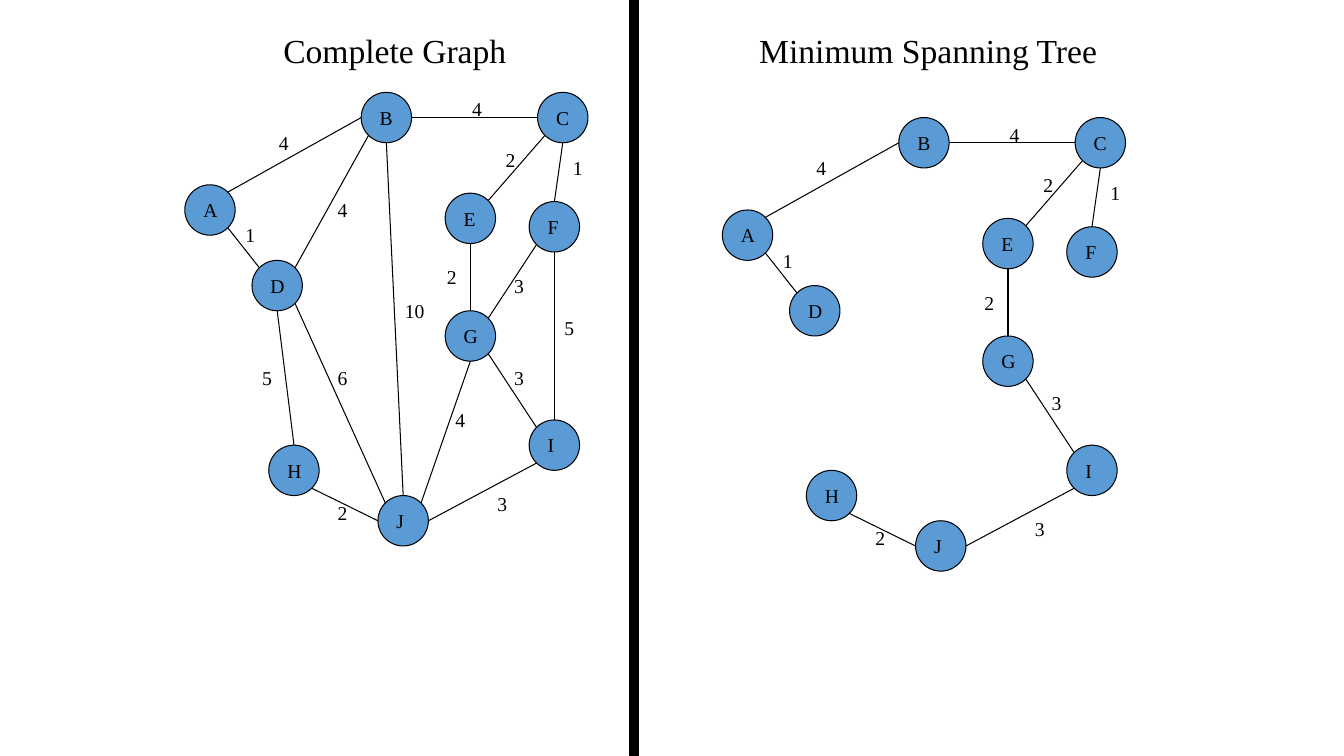
from lxml import etree
from pptx import Presentation
from pptx.dml.color import RGBColor
from pptx.enum.shapes import MSO_CONNECTOR, MSO_SHAPE
from pptx.enum.text import MSO_ANCHOR, MSO_AUTO_SIZE, PP_ALIGN
from pptx.oxml.ns import qn
from pptx.util import Pt

STRAIGHT = MSO_CONNECTOR.STRAIGHT
OVAL, RECTANGLE = MSO_SHAPE.OVAL, MSO_SHAPE.RECTANGLE
LEFT, CENTER = PP_ALIGN.LEFT, PP_ALIGN.CENTER
TOP, MIDDLE = MSO_ANCHOR.TOP, MSO_ANCHOR.MIDDLE
NO_FIT, GROW = MSO_AUTO_SIZE.NONE, MSO_AUTO_SIZE.SHAPE_TO_FIT_TEXT

BLACK = RGBColor(0x00, 0x00, 0x00)
BLUE = RGBColor(0x5B, 0x9B, 0xD5)

TITLE_ONLY = 5
DIAMETER = 36
RADIUS = DIAMETER / 2
DIAGONAL = 0.71

# Compass points on a node's rim, as multiples of the radius
RIM = {
    "N": (0, -1), "S": (0, 1), "W": (-1, 0), "E": (1, 0),
    "NW": (-DIAGONAL, -DIAGONAL), "NE": (DIAGONAL, -DIAGONAL),
    "SW": (-DIAGONAL, DIAGONAL), "SE": (DIAGONAL, DIAGONAL),
}

# Left and top of each node in the complete graph
NODES = {
    "A": (132, 132), "B": (258, 66), "C": (384, 66), "D": (180, 186),
    "E": (318, 138), "F": (378, 144), "G": (318, 222), "H": (192, 318),
    "I": (378, 300), "J": (270, 354),
}

# Ends, rim points of the ends, weight, left and top of the weight
EDGES = [
    ("AB", "NE", "W", 4, 192, 90),
    ("AD", "SE", "NW", 1, 168, 156),
    ("BC", "E", "W", 4, 330, 66),
    ("BD", "SW", "NE", 4, 234, 138),
    ("BJ", "S", "N", 10, 282, 210),
    ("CE", "SW", "NE", 2, 354, 102),
    ("CF", "S", "N", 1, 402, 108),
    ("DH", "S", "N", 5, 180, 258),
    ("DJ", "SE", "NW", 6, 234, 258),
    ("EG", "S", "N", 2, 312, 186),
    ("FG", "SW", "NE", 3, 360, 192),
    ("FI", "S", "N", 5, 396, 222),
    ("GI", "SE", "NW", 3, 360, 258),
    ("GJ", "S", "NE", 4, 318, 288),
    ("HJ", "SE", "W", 2, 234, 354),
    ("JI", "E", "SW", 3, 348, 348),
]
TREE = {"AB", "AD", "BC", "CE", "CF", "EG", "GI", "HJ", "JI"}
TREE_EDGES = [edge for edge in EDGES if edge[0] in TREE]
TREE_SHIFT = (384, 18)


class GraphSlide:
    font = "Times New Roman"
    label_size = 14
    heading_size = 24
    line_width = 0.75

    def __init__(self, slide):
        self.slide = slide
        self.shapes = slide.shapes

    def label(self, frame, text, size, align):
        paragraph = frame.paragraphs[0]
        paragraph.alignment = align
        run = paragraph.add_run()
        run.text = text
        run.font.name = self.font
        run.font.size = Pt(size)
        run.font.color.rgb = BLACK

    def outline(self, line):
        line.color.rgb = BLACK
        line.width = Pt(self.line_width)

    def figure(self, preset, left, top, width, height, fill):
        shape = self.shapes.add_shape(preset, Pt(left), Pt(top), Pt(width), Pt(height))
        shape.shadow.inherit = False
        shape.fill.solid()
        shape.fill.fore_color.rgb = fill
        self.outline(shape.line)
        return shape

    def heading(self, box, text, left, width):
        box.left, box.top, box.width, box.height = Pt(left), Pt(18), Pt(width), Pt(36)
        frame = box.text_frame
        frame.word_wrap = True
        frame.auto_size = NO_FIT
        frame.vertical_anchor = TOP
        self.label(frame, text, self.heading_size, CENTER)

    def node(self, letter, left, top):
        frame = self.figure(OVAL, left, top, DIAMETER, DIAMETER, BLUE).text_frame
        frame.margin_left = Pt(8)
        frame.margin_right = frame.margin_top = frame.margin_bottom = 0
        frame.vertical_anchor = MIDDLE
        self.label(frame, letter, self.label_size, LEFT)

    def edge(self, start, end):
        line = self.shapes.add_connector(STRAIGHT, *map(Pt, start + end))
        self.outline(line.line)
        etree.SubElement(line.element.spPr, qn("a:effectLst"))

    def weight(self, value, left, top):
        text = str(value)
        box = self.shapes.add_textbox(Pt(left), Pt(top), Pt(14.4 + 7 * len(text)), Pt(24.5))
        frame = box.text_frame
        frame.word_wrap = False
        frame.auto_size = GROW
        self.label(frame, text, self.label_size, CENTER)

    def graph(self, edges, shift=(0, 0)):
        """Draw every node, the given edges and their weights, moved by shift."""
        dx, dy = shift

        def rim_point(letter, side):
            (left, top), (x, y) = NODES[letter], RIM[side]
            return (left + dx + RADIUS * (1 + x), top + dy + RADIUS * (1 + y))

        for letter, (left, top) in NODES.items():
            self.node(letter, left + dx, top + dy)
        for (first, second), leave, arrive, value, left, top in edges:
            self.edge(rim_point(first, leave), rim_point(second, arrive))
            self.weight(value, left + dx, top + dy)


def main():
    deck = Presentation()
    deck.slide_width, deck.slide_height = Pt(960), Pt(540)
    page = GraphSlide(deck.slides.add_slide(deck.slide_layouts[TITLE_ONLY]))

    page.figure(RECTANGLE, 450, 0, 6, 540, BLACK)
    page.heading(page.shapes.title, "Complete Graph", 144, 276)
    page.graph(EDGES)

    tree_heading = page.shapes.add_textbox(0, 0, 0, 0)
    page.heading(tree_heading, "Minimum Spanning Tree", 534, 258)
    page.graph(TREE_EDGES, TREE_SHIFT)

    deck.save("out.pptx")


if __name__ == "__main__":
    main()
